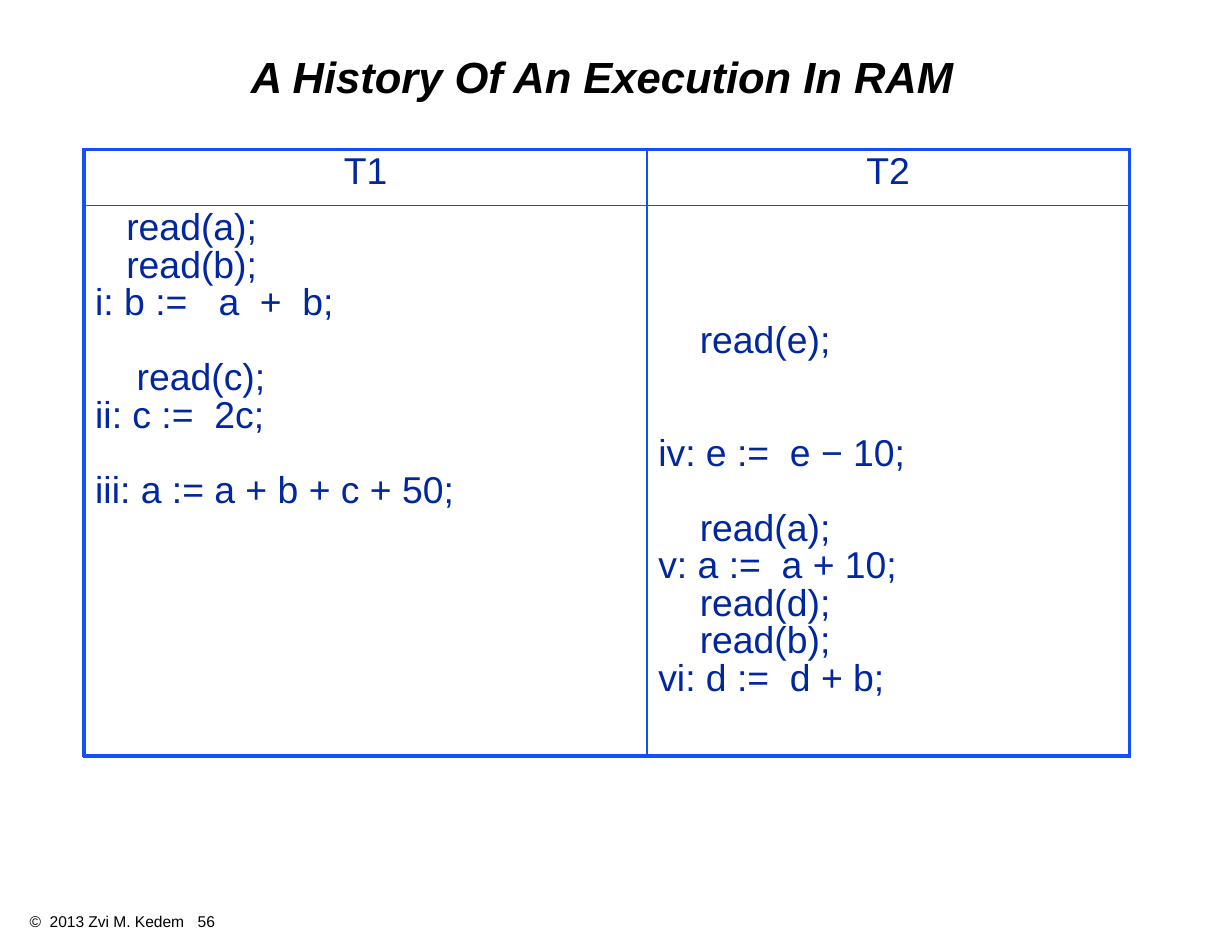
"""Build a slide that shows two transactions interleaved in RAM."""
from dataclasses import dataclass

from lxml import etree
from pptx import Presentation
from pptx import util as u
from pptx.dml.color import RGBColor
from pptx.enum import text as t
from pptx.oxml import ns

TITLE = "A History Of An Execution In RAM"
FOOTER = "©  2013 Zvi M. Kedem\t56"
HEADERS = ["T1", "T2"]
# Each statement: time step, leading indent in spaces, text.
HISTORY = [
    [(0, 3, "read(a);"), (1, 3, "read(b);"), (2, 0, "i: b :=   a  +  b;"),
     (4, 4, "read(c);"), (5, 0, "ii: c :=  2c;"),
     (7, 0, "iii: a := a + b + c + 50;")],
    [(3, 4, "read(e);"), (6, 0, "iv: e :=  e − 10;"), (8, 4, "read(a);"),
     (9, 0, "v: a :=  a + 10;"), (10, 4, "read(d);"),
     (11, 4, "read(b);"), (12, 0, "vi: d :=  d + b;")],
]
COLUMNS, ROWS = [362, 310], [36, 354]
STEP, SPACE, MARGIN = 24.15, 6.67, 3.6


@dataclass(frozen=True)
class Theme:
    """Colours, type sizes and line widths."""
    font: str = "Arial"
    ink: str = "000000"
    code: str = "00279F"
    rule: str = "114FFB"
    title: float = 28
    body: float = 24
    small: float = 10
    outer: float = 2.25
    inner: float = 1


THEME = Theme()


def write(para, words, size=THEME.body, color=THEME.code, bold=False,
          italic=False, align=t.PP_ALIGN.LEFT, spacing=0.9, before=0, indent=0):
    """Fill a paragraph with one formatted span."""
    para.alignment, para.line_spacing = align, spacing
    para.space_before = u.Pt(before)
    properties = para._p.get_or_add_pPr()
    properties.set("marL", str(u.Pt(indent)))
    properties.set("indent", "0")
    span = para.add_run()
    span.text = words
    font = span.font
    font.name, font.size, font.bold, font.italic = THEME.font, u.Pt(size), bold, italic
    font.color.rgb = RGBColor.from_string(color)


def add_borders(cell, row, column):
    """Draw thick lines on the table's edge and thin ones inside."""
    cell.fill.background()
    properties = cell._tc.get_or_add_tcPr()
    thick = {"lnL": column == 0, "lnR": column == len(COLUMNS) - 1,
             "lnT": row == 0, "lnB": row == len(ROWS) - 1}
    for place, (side, edge) in enumerate(thick.items()):
        line = etree.Element(ns.qn(f"a:{side}"))
        line.set("w", str(u.Pt(THEME.outer if edge else THEME.inner)))
        fill = etree.SubElement(line, ns.qn("a:solidFill"))
        etree.SubElement(fill, ns.qn("a:srgbClr")).set("val", THEME.rule)
        properties.insert(place, line)


def add_title(page):
    """Place and format the title."""
    box = page.shapes.title
    box.left, box.top, box.width, box.height = map(u.Pt, (54, 18, 666, 66))
    frame = box.text_frame
    frame.vertical_anchor = t.MSO_ANCHOR.MIDDLE
    frame.margin_left = frame.margin_right = u.Pt(8)
    frame.margin_top = frame.margin_bottom = u.Pt(4)
    write(frame.paragraphs[0], TITLE, size=THEME.title, color=THEME.ink,
          bold=True, italic=True, align=t.PP_ALIGN.CENTER)


def add_history(page):
    """Add the table, with statements set at their time steps."""
    frame = page.shapes.add_table(len(ROWS), len(COLUMNS), u.Pt(54), u.Pt(96),
                                  u.Pt(sum(COLUMNS)), u.Pt(sum(ROWS)))
    table = frame.table
    table.first_row = table.horz_banding = False
    for row, height in enumerate(ROWS):
        table.rows[row].height = u.Pt(height)
    for column, width in enumerate(COLUMNS):
        table.columns[column].width = u.Pt(width)
        header, body = (table.cell(row, column) for row in range(len(ROWS)))
        write(header.text_frame.paragraphs[0], HEADERS[column], align=t.PP_ALIGN.CENTER)
        first = HISTORY[column][0][0]
        body.margin_top = u.Pt(MARGIN + first * STEP)
        previous = first - 1
        for step, spaces, words in HISTORY[column]:
            content = body.text_frame
            para = content.paragraphs[0] if step == first else content.add_paragraph()
            write(para, words, before=(step - previous - 1) * STEP,
                  indent=spaces * SPACE)
            previous = step
        for row, cell in enumerate((header, body)):
            add_borders(cell, row, column)


def add_footer(page):
    """Add the copyright line with the page number at a right tab."""
    box = page.shapes.add_textbox(*map(u.Pt, (12, 583, 744, 20)))
    box.text_frame.word_wrap = True
    para = box.text_frame.paragraphs[0]
    write(para, FOOTER, size=THEME.small, color=THEME.ink, spacing=1.0)
    tabs = etree.SubElement(para._p.get_or_add_pPr(), ns.qn("a:tabLst"))
    stop = etree.SubElement(tabs, ns.qn("a:tab"))
    stop.set("pos", str(u.Pt(699)))
    stop.set("algn", "r")


def main():
    """Build and save the deck."""
    deck = Presentation()
    deck.slide_width, deck.slide_height = u.Pt(792), u.Pt(612)
    page = deck.slides.add_slide(deck.slide_layouts[5])
    add_footer(page)
    add_title(page)
    add_history(page)
    deck.save("out.pptx")


if __name__ == "__main__":
    main()
